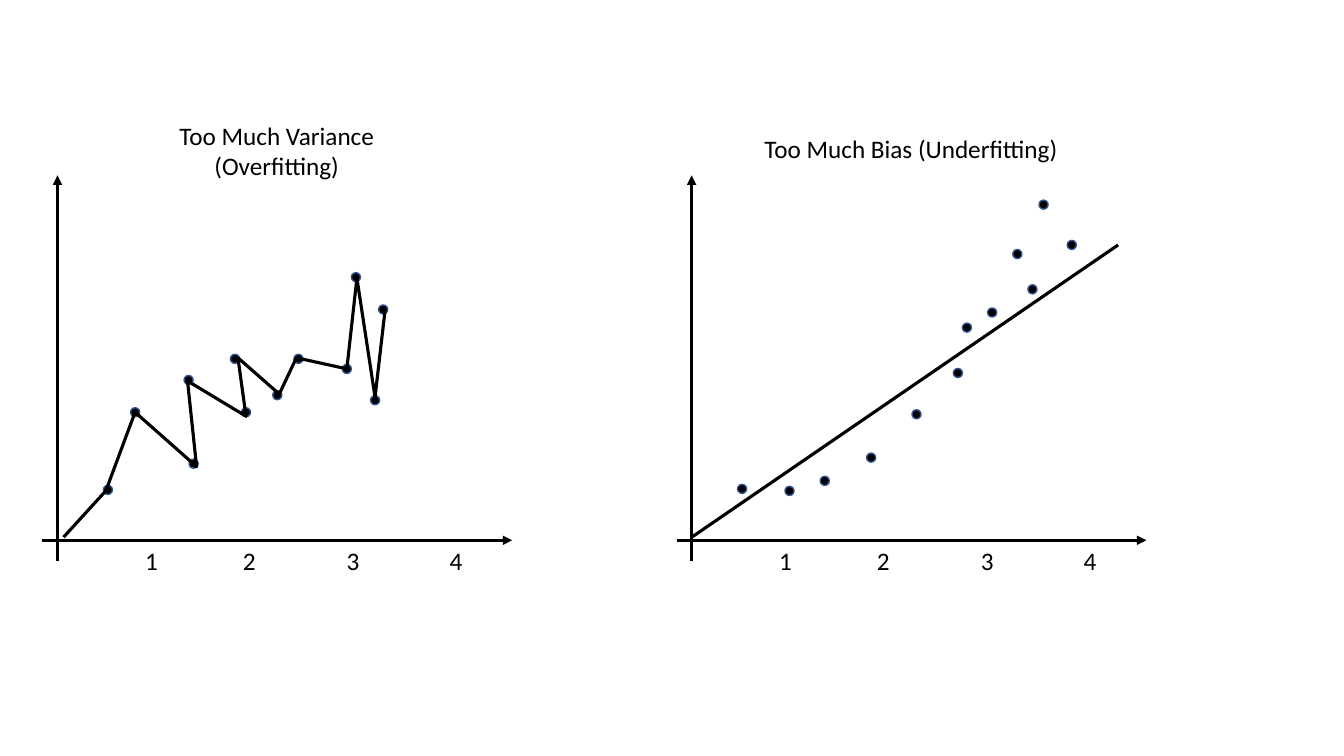
from lxml import etree
from pptx import Presentation
from pptx.dml.color import RGBColor
from pptx.enum.shapes import MSO_CONNECTOR, MSO_SHAPE
from pptx.enum.text import PP_ALIGN
from pptx.oxml.ns import qn
from pptx.util import Inches, Pt

BLACK = RGBColor(0x00, 0x00, 0x00)
DOT_EDGE = RGBColor(0x32, 0x54, 0x91)
DOT_SIZE = 0.09
PANEL_TOP, PANEL_WIDTH, PANEL_HEIGHT = 1.74, 4.66, 3.83
AXIS_INSET, AXIS_RISE = 0.15, 0.21
TICKS = ["1", "2", "3", "4"]
TICK_STOPS = [0.97, 2.0, 3.02]

OVERFIT_DOTS = [
    (0.65, 3.12), (0.92, 2.35), (1.5, 2.86), (1.45, 2.03), (2.02, 2.35), (1.91, 1.82),
    (2.33, 2.18), (2.54, 1.82), (3.02, 1.92), (3.3, 2.23), (3.38, 1.33), (3.11, 1.01),
]
OVERFIT_CURVE = [
    (0.21, 3.59), (0.63, 3.13), (0.92, 2.35), (1.53, 2.89), (1.44, 2.04), (2.02, 2.39), (1.94, 1.81),
    (2.35, 2.17), (2.52, 1.81), (3.02, 1.92), (3.12, 1.02), (3.3, 2.2), (3.4, 1.33),
]
UNDERFIT_DOTS = [
    (0.65, 3.11), (1.47, 3.03), (2.38, 2.37), (1.12, 3.13), (2.88, 1.51), (1.93, 2.8),
    (2.79, 1.96), (3.53, 1.13), (3.13, 1.36), (3.38, 0.78), (3.64, 0.29), (3.92, 0.69),
]
UNDERFIT_LINE = [(0.15, 3.59), (4.38, 0.69)]


def add_line(slide, start, end, arrow=False):
    """Draw a straight black line, with an arrowhead at its end if asked."""
    line = slide.shapes.add_connector(MSO_CONNECTOR.STRAIGHT, *map(Inches, (*start, *end)))
    line.line.color.rgb = BLACK
    line.line.width = Pt(2.25)
    if arrow:
        etree.SubElement(line.line._get_or_add_ln(), qn("a:tailEnd"), type="triangle")
    etree.SubElement(line._element.spPr, qn("a:effectLst"))


def add_label(slide, left, top, width, height, wording):
    """Add an 18 point black text box and return its paragraph."""
    label = slide.shapes.add_textbox(*map(Inches, (left, top, width, height)))
    label.text_frame.word_wrap = True
    paragraph = label.text_frame.paragraphs[0]
    paragraph.text = wording
    font = paragraph.runs[0].font
    font.name, font.size, font.color.rgb = "Calibri", Pt(18), BLACK
    return paragraph


def add_axes(slide, left, top, width, height):
    """Draw both axes and the numbers below the horizontal one."""
    base, upright = top + height - AXIS_RISE, left + AXIS_INSET
    add_line(slide, (left, base), (left + width, base), arrow=True)
    add_line(slide, (upright, top + height), (upright, top), arrow=True)
    ticks = add_label(slide, left + 0.92, base, 3.43, 0.4, "\t".join(TICKS))
    tab_list = etree.SubElement(ticks._p.get_or_add_pPr(), qn("a:tabLst"))
    for stop in TICK_STOPS:
        etree.SubElement(tab_list, qn("a:tab"), pos=str(Inches(stop)), algn="l")


def add_dots(slide, left, top, centres):
    """Draw the observations as small dots around their centres."""
    for x, y in centres:
        corner = (left + x - DOT_SIZE / 2, top + y - DOT_SIZE / 2)
        dot = slide.shapes.add_shape(MSO_SHAPE.OVAL, *map(Inches, (*corner, DOT_SIZE, DOT_SIZE)))
        dot.shadow.inherit = False
        dot.fill.solid()
        dot.fill.fore_color.rgb = BLACK
        dot.line.color.rgb = DOT_EDGE
        dot.line.width = Pt(1)


def add_fit(slide, left, top, points):
    """Draw the fitted model as a straight line or an open zigzag."""
    placed = [(left + x, top + y) for x, y in points]
    if len(placed) == 2:
        add_line(slide, *placed)
        return
    vertices = [(Inches(x), Inches(y)) for x, y in placed]
    builder = slide.shapes.build_freeform(*vertices[0])
    builder.add_line_segments(vertices[1:], close=False)
    curve = builder.convert_to_shape()
    curve.shadow.inherit = False
    curve.fill.background()
    curve.line.color.rgb = BLACK
    curve.line.width = Pt(2.25)


def add_panel(slide, left, top, width, height, caption, caption_top, caption_height, dots, fit):
    """Place one captioned chart sketch in its box."""
    add_axes(slide, left, top, width, height)
    heading = add_label(slide, left + 0.69, caption_top, 3.27, caption_height, caption)
    heading.alignment = PP_ALIGN.CENTER
    add_dots(slide, left, top, dots)
    add_fit(slide, left, top, fit)


def main():
    """Build the slide and save it."""
    deck = Presentation()
    deck.slide_width, deck.slide_height = Inches(13.33), Inches(7.5)
    slide = deck.slides.add_slide(deck.slide_layouts[6])
    panels = [
        (0.42, "Too Much Variance (Overfitting)", 1.14, 0.71, OVERFIT_DOTS, OVERFIT_CURVE),
        (6.71, "Too Much Bias (Underfitting)", 1.27, 0.4, UNDERFIT_DOTS, UNDERFIT_LINE),
    ]
    for left, *content in panels:
        add_panel(slide, left, PANEL_TOP, PANEL_WIDTH, PANEL_HEIGHT, *content)
    deck.save("out.pptx")


if __name__ == "__main__":
    main()
